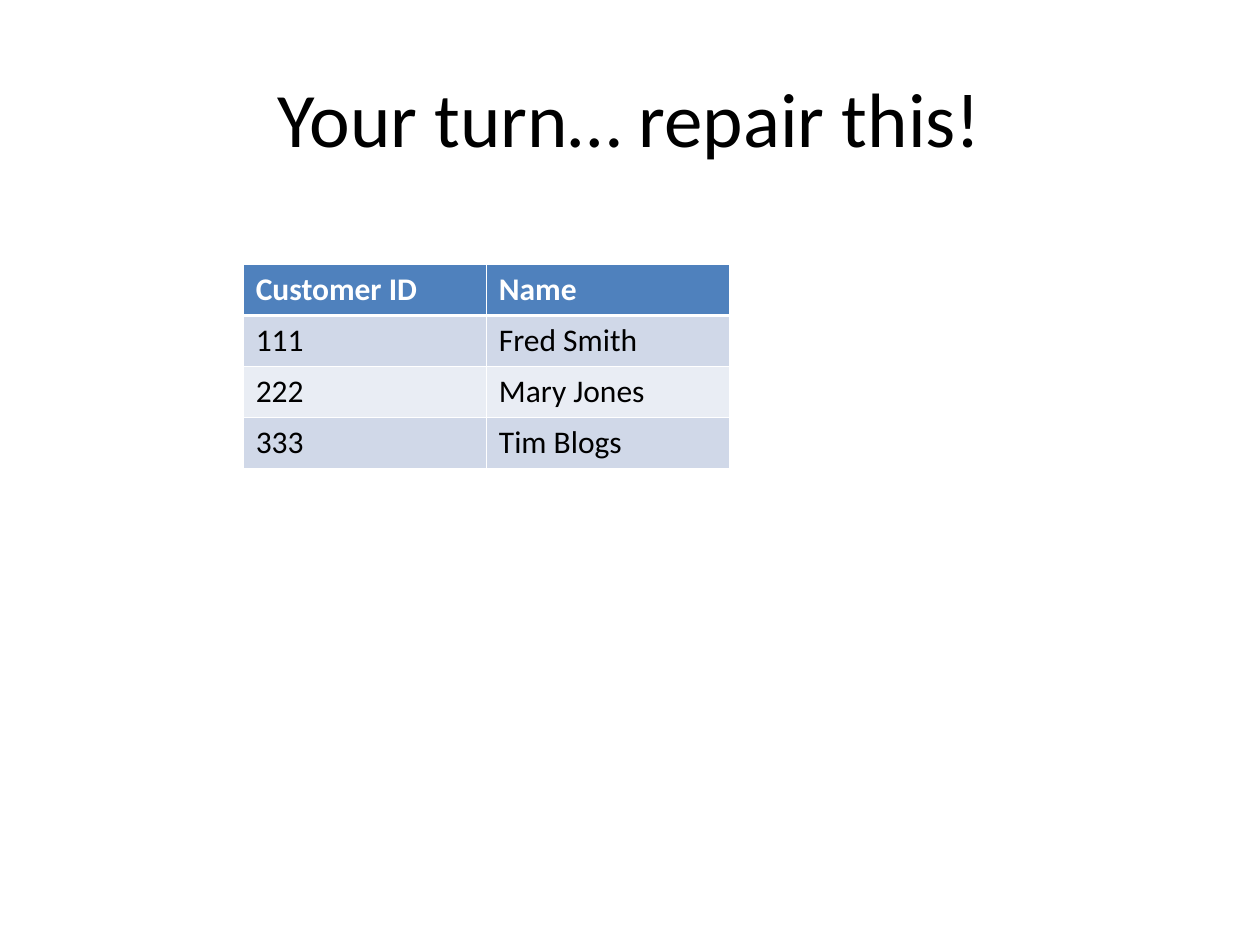
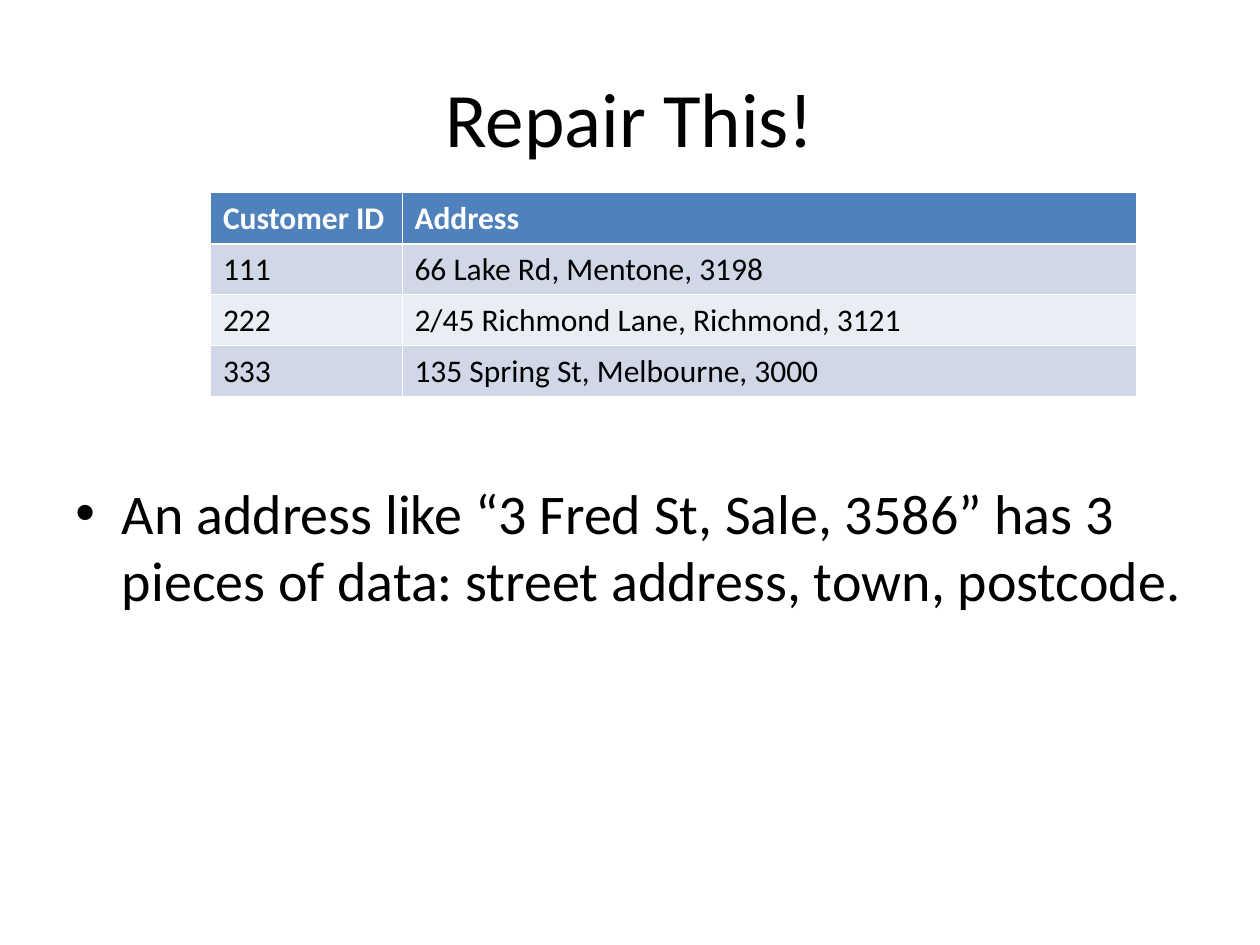
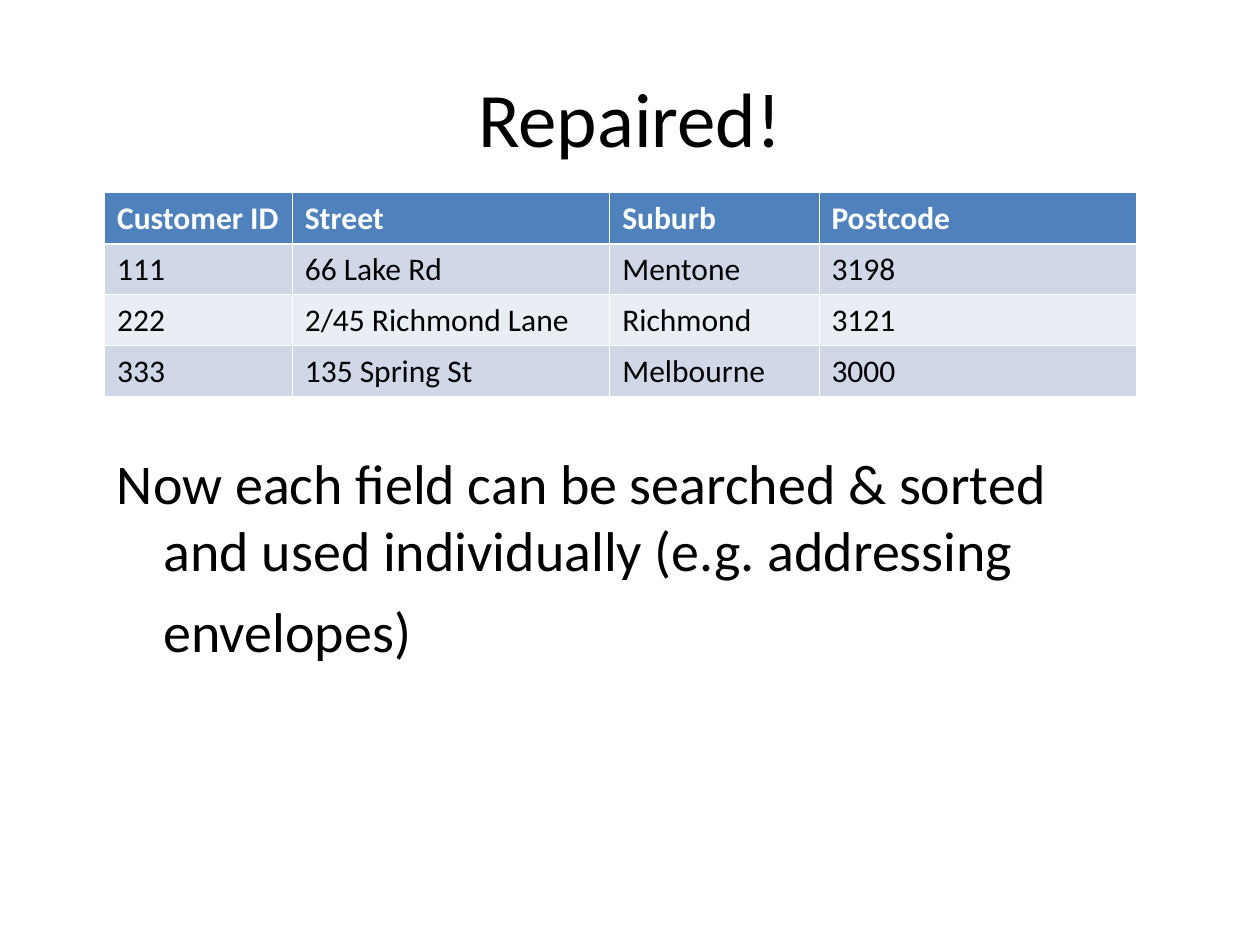
from lxml import etree
from pptx import Presentation
from pptx import util as u
from pptx.dml.color import RGBColor
from pptx.enum import text
from pptx.oxml.ns import qn

COLOURS = {
    "text": "000000",
    "header": "4F81BD",
    "header_text": "FFFFFF",
    "band_odd": "D0D8E8",
    "band_even": "E9EDF4",
    "border": "FFFFFF",
}
FONT = "Calibri"
CELL = u.Inches(0.1)  # the slide is a grid of 100 columns by 75 rows
GRID_COLS, GRID_ROWS = 100, 75
TABLE_HEIGHT = 16.2
HANGING = u.Inches(0.37)
THIN, THICK = u.Pt(0.45), u.Pt(1.47)


def grid(*cells):
    return [round(n * CELL) for n in cells]


def colour(name):
    return RGBColor.from_string(COLOURS[name])


def style_run(r, size, name="text", bold=False):
    r.font.name = FONT
    r.font.size = u.Pt(size)
    r.font.bold = bold
    r.font.color.rgb = colour(name)


def add_text(slide, box, content, size):
    sp = slide.shapes.add_textbox(*grid(*box))
    tf = sp.text_frame
    tf.word_wrap = True
    tf.text = content
    p = tf.paragraphs[0]
    style_run(p.runs[0], size)
    return tf, p


def add_title(slide, title):
    tf, p = add_text(slide, (5, 3, 90, 12.5), title, 44)
    tf.vertical_anchor = text.MSO_ANCHOR.MIDDLE
    p.alignment = text.PP_ALIGN.CENTER


def add_hanging_text(slide, box, content, bullet=None):
    p = add_text(slide, box, content, 32)[1]
    pPr = p._p.get_or_add_pPr()
    pPr.set("marL", str(HANGING))
    pPr.set("indent", str(-HANGING))
    if bullet:
        etree.SubElement(pPr, qn("a:buFont"), typeface="Arial")
        etree.SubElement(pPr, qn("a:buChar"), char=bullet)
    else:
        etree.SubElement(pPr, qn("a:buNone"))
    return p


def set_borders(cell, **widths):
    """Draw the cell's sides, given in the order L, R, T, B."""
    tcPr = cell._tc.get_or_add_tcPr()
    for side, width in widths.items():
        ln = etree.SubElement(tcPr, qn(f"a:ln{side}"), w=str(width))
        fill = etree.SubElement(ln, qn("a:solidFill"))
        etree.SubElement(fill, qn("a:srgbClr"), val=COLOURS["border"])


def add_data_table(slide, left, top, col_widths, rows):
    box = grid(left, top, sum(col_widths), TABLE_HEIGHT)
    table = slide.shapes.add_table(len(rows), len(col_widths), *box).table
    for column, width in zip(table.columns, grid(*col_widths)):
        column.width = width
    for i, row in enumerate(rows):
        header = i == 0
        fill = "header" if header else "band_odd" if i % 2 else "band_even"
        for j, value in enumerate(row):
            cell = table.cell(i, j)
            set_borders(cell, L=THIN, R=THIN, T=THICK if i == 1 else THIN,
                        B=THICK if header else THIN)
            cell.fill.solid()
            cell.fill.fore_color.rgb = colour(fill)
            cell.text = value
            style_run(cell.text_frame.paragraphs[0].runs[0], 18,
                      "header_text" if header else "text", header)


def add_slide(prs, title):
    s = prs.slides.add_slide(prs.slide_layouts[6])
    add_title(s, title)
    return s


def main():
    prs = Presentation()
    prs.slide_width, prs.slide_height = grid(GRID_COLS, GRID_ROWS)

    s = add_slide(prs, "Your turn… repair this!")
    add_data_table(s, 19.3, 21, [19.3, 19.3], [
        ("Customer ID", "Name"),
        ("111", "Fred Smith"),
        ("222", "Mary Jones"),
        ("333", "Tim Blogs"),
    ])

    s = add_slide(prs, "Repair This!")
    add_hanging_text(
        s, (5, 37.5, 90, 18.5),
        "An address like “3 Fred St, Sale, 3586” has 3 pieces of data: "
        "street address, town, postcode.", bullet="•")
    add_data_table(s, 16.7, 15.3, [15.2, 58.3], [
        ("Customer ID", "Address"),
        ("111", "66 Lake Rd, Mentone, 3198"),
        ("222", "2/45 Richmond Lane, Richmond, 3121"),
        ("333", "135 Spring St, Melbourne, 3000"),
    ])

    s = add_slide(prs, "Repaired!")
    p = add_hanging_text(
        s, (8.3, 35.1, 81.9, 26),
        "Now each field can be searched & sorted and used individually "
        "(e.g. addressing envelopes)")
    r = p.add_run()
    r.text = " "
    style_run(r, 40)
    add_data_table(s, 8.3, 15.3, [14.9, 25.2, 16.6, 25.2], [
        ("Customer ID", "Street", "Suburb", "Postcode"),
        ("111", "66 Lake Rd", "Mentone", "3198"),
        ("222", "2/45 Richmond Lane", "Richmond", "3121"),
        ("333", "135 Spring St", "Melbourne", "3000"),
    ])

    prs.save("out.pptx")


if __name__ == "__main__":
    main()
